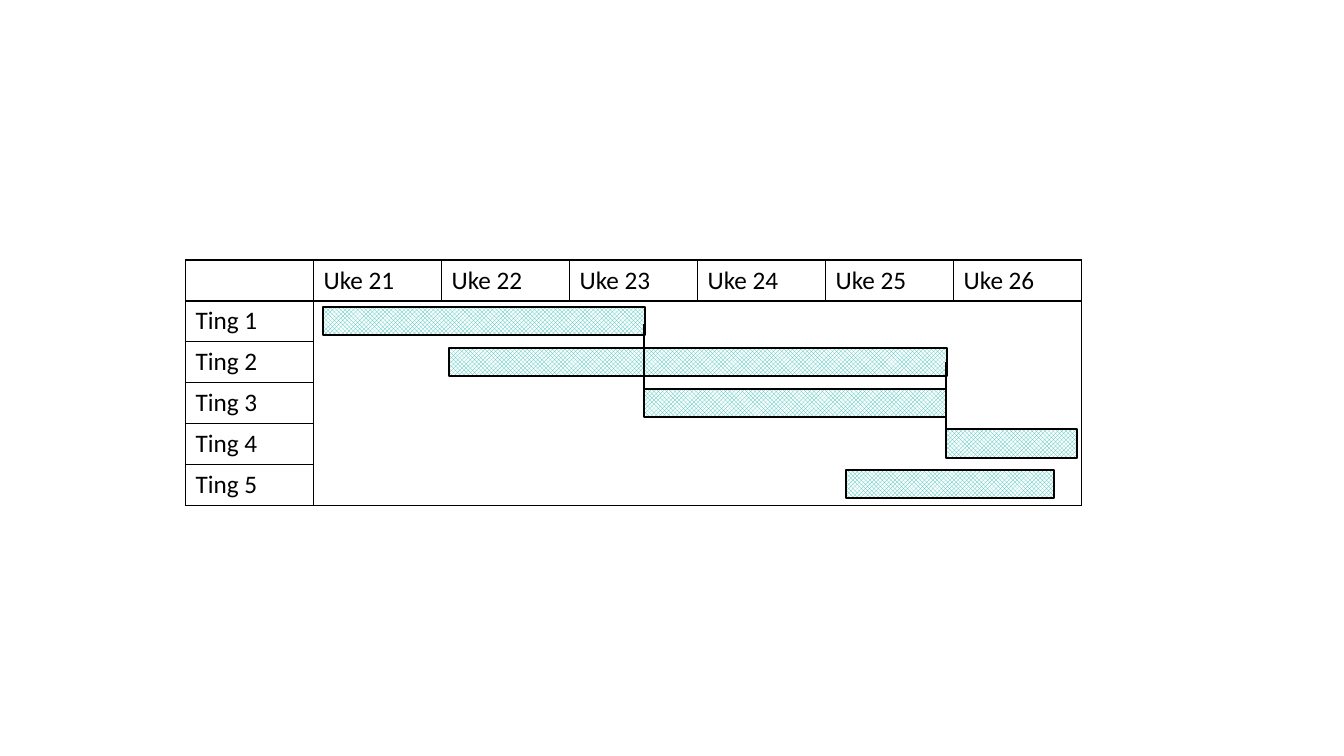
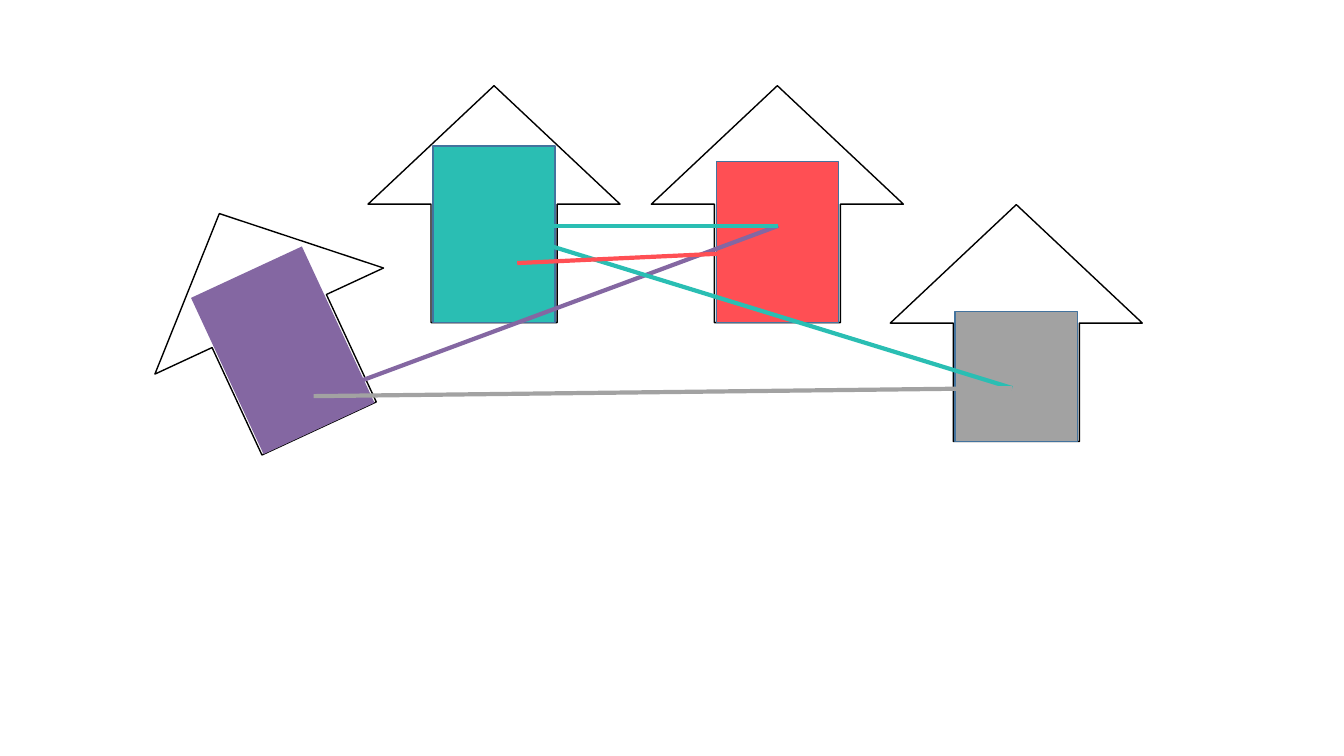
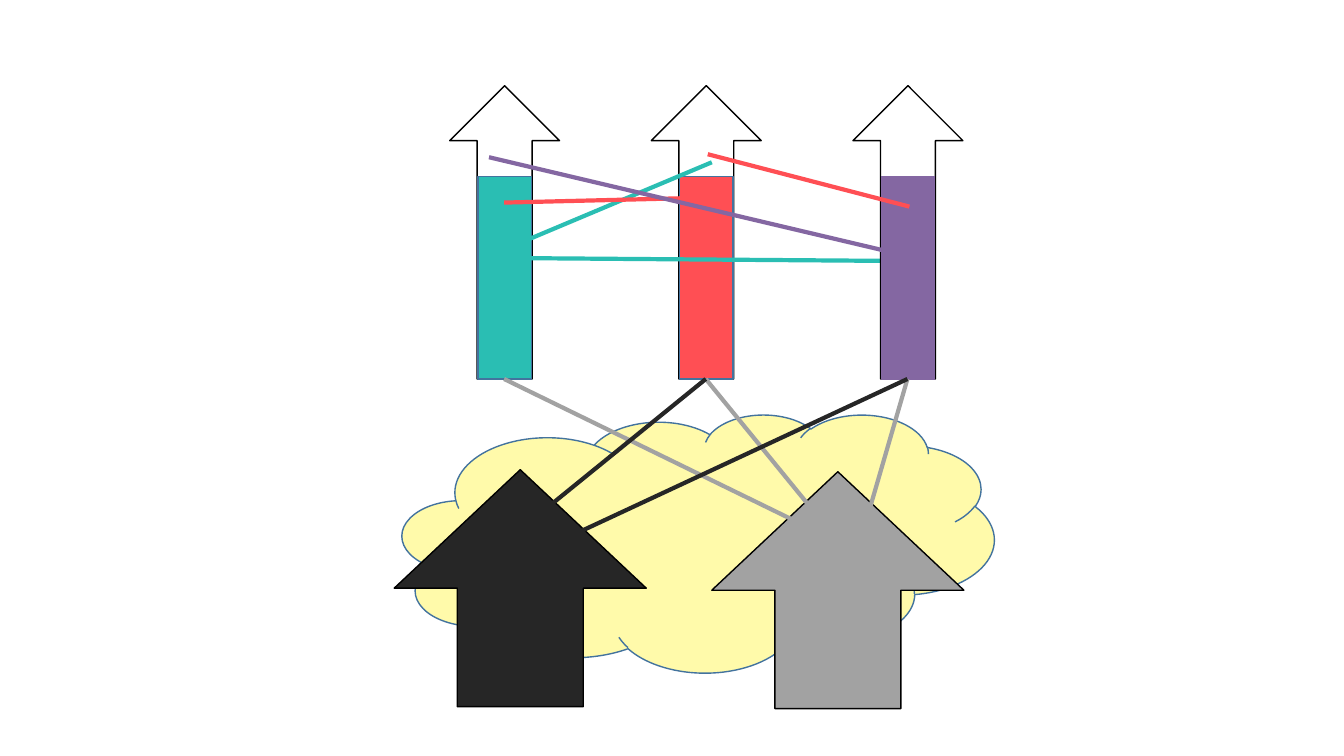
"""Build three slides: a week plan, linked houses and linked towers over a cloud."""
import math
from dataclasses import dataclass
from typing import Optional

from lxml import etree
from pptx import Presentation
from pptx import util as u
from pptx.dml.color import RGBColor
from pptx.enum import dml, shapes
from pptx.oxml import ns

COLOURS = {
    "black": "000000",
    "white": "FFFFFF",
    "teal": "2ABEB3",
    "red": "FF4F54",
    "purple": "8467A2",
    "grey": "A2A2A2",
    "dark": "262626",
    "yellow": "FFFAAA",
    "blue": "43739E",
}
FONT = "Calibri"
BLANK_LAYOUT = 6

WEEKS = [f"Uke {number}" for number in range(21, 27)]
TASKS = [f"Ting {number}" for number in range(1, 6)]
TABLE_LEFT, TABLE_TOP = 1.84, 2.58
COLUMN_WIDTH, ROW_HEIGHT = 1.27, 0.405
BAR_INSET, BAR_HEIGHT = 0.06, 0.28
BLOCK_SHARE = 0.485


@dataclass(frozen=True)
class Box:
    left: float
    top: float
    width: float
    height: float
    rotation: float = 0


@dataclass(frozen=True)
class Bar:
    left: float
    width: float


@dataclass(frozen=True)
class Link:
    start: tuple[float, float]
    end: tuple[float, float]
    colour: str
    weight: float = 3


@dataclass(frozen=True)
class House:
    arrow: Box
    level: float
    colour: str
    outline: Optional[str] = "blue"


BARS = [Bar(3.2, 3.2), Bar(4.45, 4.94), Bar(6.39, 2.99), Bar(9.38, 1.3), Bar(8.39, 2.06)]
DEPENDENCIES = [
    Link((6.39, 3.21), (6.39, 4.01), "black", 1.5),
    Link((9.38, 3.59), (9.38, 4.39), "black", 1.5),
]

HOUSES = [
    House(Box(3.65, 0.85, 2.5, 2.35), 1.75, "teal"),
    House(Box(6.46, 0.85, 2.5, 2.35), 1.6, "red"),
    House(Box(1.42, 2.01, 2.5, 2.35, -24.9), 1.71, "purple", None),
    House(Box(8.83, 2.03, 2.5, 2.35), 1.29, "grey"),
]
HOUSE_LINKS = [
    Link((3.01, 3.99), (7.72, 2.24), "purple"),
    Link((4.81, 2.24), (10.04, 3.85), "teal"),
    Link((4.72, 2.24), (7.72, 2.24), "teal"),
    Link((5.13, 2.61), (8.15, 2.47), "red"),
    Link((3.11, 3.93), (10.04, 3.85), "grey"),
]

CLOUD = Box(3.99, 4.11, 5.87, 2.56)
TOWERS = [
    House(Box(4.46 + 2 * index, 0.85, 1.09, 2.91), 2.01, colour, outline)
    for index, (colour, outline) in enumerate(
        [("teal", "blue"), ("red", "blue"), ("purple", "purple")]
    )
]
TOWER_BACK_LINK = Link((5.05, 2.56), (9, 2.59), "teal")
BASE_ARROWS = [
    (Box(7.06, 4.68, 2.5, 2.35), "grey"),
    (Box(3.91, 4.66, 2.5, 2.35), "dark"),
]
TOWER_LINKS = [
    Link((4.85, 2.54), (7.06, 1.61), "teal"),
    Link((5, 2.01), (7.06, 1.96), "red"),
    Link((4.85, 1.56), (9, 2.54), "purple"),
    Link((5, 3.76), (8.32, 5.38), "grey"),
    Link((9, 3.76), (8.48, 5.55), "grey"),
    Link((7, 3.76), (8.46, 5.55), "grey"),
    Link((7, 3.76), (4.98, 5.4), "dark"),
    Link((9, 3.76), (5.14, 5.56), "dark"),
    Link((7.02, 1.53), (9.02, 2.05), "red"),
]


def rgb(name: str) -> RGBColor:
    return RGBColor.from_string(COLOURS[name])


def draw_shape(slide, kind, box: Box, fill: Optional[str], outline: Optional[str],
               weight: float = 1):
    shape = slide.shapes.add_shape(
        kind, u.Inches(box.left), u.Inches(box.top), u.Inches(box.width), u.Inches(box.height)
    )
    shape.rotation = box.rotation % 360
    shape.shadow.inherit = False
    if fill:
        shape.fill.solid()
        shape.fill.fore_color.rgb = rgb(fill)
    else:
        shape.fill.background()
    if outline:
        shape.line.color.rgb = rgb(outline)
        shape.line.width = u.Pt(weight)
    else:
        shape.line.fill.background()
    return shape


def draw_link(slide, link: Link) -> None:
    points = [u.Inches(value) for value in (*link.start, *link.end)]
    connector = slide.shapes.add_connector(shapes.MSO_CONNECTOR.STRAIGHT, *points)
    connector.line.color.rgb = rgb(link.colour)
    connector.line.width = u.Pt(link.weight)
    etree.SubElement(connector._element.spPr, ns.qn("a:effectLst"))


def draw_arrow(slide, box: Box, fill: Optional[str] = None) -> None:
    turned = Box(box.left, box.top, box.width, box.height, 180 + box.rotation)
    draw_shape(slide, shapes.MSO_SHAPE.DOWN_ARROW, turned, fill, "black")


def draw_house(slide, house: House) -> None:
    arrow = house.arrow
    draw_arrow(slide, arrow)
    width = arrow.width * BLOCK_SHARE
    drop = (arrow.height - house.level) / 2
    angle = math.radians(arrow.rotation)
    centre_x = arrow.left + arrow.width / 2 - drop * math.sin(angle)
    centre_y = arrow.top + arrow.height / 2 + drop * math.cos(angle)
    block = Box(centre_x - width / 2, centre_y - house.level / 2, width, house.level,
                arrow.rotation)
    draw_shape(slide, shapes.MSO_SHAPE.RECTANGLE, block, house.colour, house.outline)


def format_cell(cell) -> None:
    cell.fill.background()
    properties = cell._tc.get_or_add_tcPr()
    for index, side in enumerate(("lnL", "lnR", "lnT", "lnB")):
        border = etree.Element(ns.qn(f"a:{side}"), w=str(u.Pt(1)))
        fill = etree.SubElement(border, ns.qn("a:solidFill"))
        etree.SubElement(fill, ns.qn("a:srgbClr"), val=COLOURS["black"])
        properties.insert(index, border)
    for paragraph in cell.text_frame.paragraphs:
        paragraph.font.size = u.Pt(18)
        for run in paragraph.runs:
            run.font.name = FONT
            run.font.size = u.Pt(18)
            run.font.color.rgb = rgb("black")


def draw_week_table(slide) -> None:
    row_count, column_count = len(TASKS) + 1, len(WEEKS) + 1
    table = slide.shapes.add_table(
        row_count, column_count, u.Inches(TABLE_LEFT), u.Inches(TABLE_TOP),
        u.Inches(COLUMN_WIDTH * column_count), u.Inches(ROW_HEIGHT * row_count),
    ).table
    table.first_row = False
    table.horz_banding = False
    for column, week in enumerate(WEEKS, start=1):
        table.cell(0, column).text_frame.text = week
    for row, task in enumerate(TASKS, start=1):
        table.cell(row, 0).text_frame.text = task
    table.cell(1, 1).merge(table.cell(row_count - 1, column_count - 1))
    for cell in table.iter_cells():
        format_cell(cell)


def build_plan(slide) -> None:
    draw_week_table(slide)
    for row, bar in enumerate(BARS, start=1):
        box = Box(bar.left, TABLE_TOP + row * ROW_HEIGHT + BAR_INSET, bar.width, BAR_HEIGHT)
        shape = draw_shape(slide, shapes.MSO_SHAPE.ROUND_1_RECTANGLE, box, None, "black", 1.5)
        shape.adjustments[0] = 0
        shape.fill.patterned()
        shape.fill.pattern = dml.MSO_PATTERN.TRELLIS
        shape.fill.fore_color.rgb = rgb("teal")
        shape.fill.back_color.rgb = rgb("white")
    for link in DEPENDENCIES:
        draw_link(slide, link)


def build_houses(slide) -> None:
    for house in HOUSES:
        draw_house(slide, house)
    for link in HOUSE_LINKS:
        draw_link(slide, link)


def build_towers(slide) -> None:
    draw_shape(slide, shapes.MSO_SHAPE.CLOUD, CLOUD, "yellow", "blue")
    *front_towers, last_tower = TOWERS
    for tower in front_towers:
        draw_house(slide, tower)
    draw_link(slide, TOWER_BACK_LINK)
    draw_house(slide, last_tower)
    for box, colour in BASE_ARROWS:
        draw_arrow(slide, box, colour)
    for link in TOWER_LINKS:
        draw_link(slide, link)


def main() -> None:
    presentation = Presentation()
    presentation.slide_width = u.Inches(13.33)
    presentation.slide_height = u.Inches(7.5)
    for build in (build_plan, build_houses, build_towers):
        build(presentation.slides.add_slide(presentation.slide_layouts[BLANK_LAYOUT]))
    presentation.save("out.pptx")


if __name__ == "__main__":
    main()
